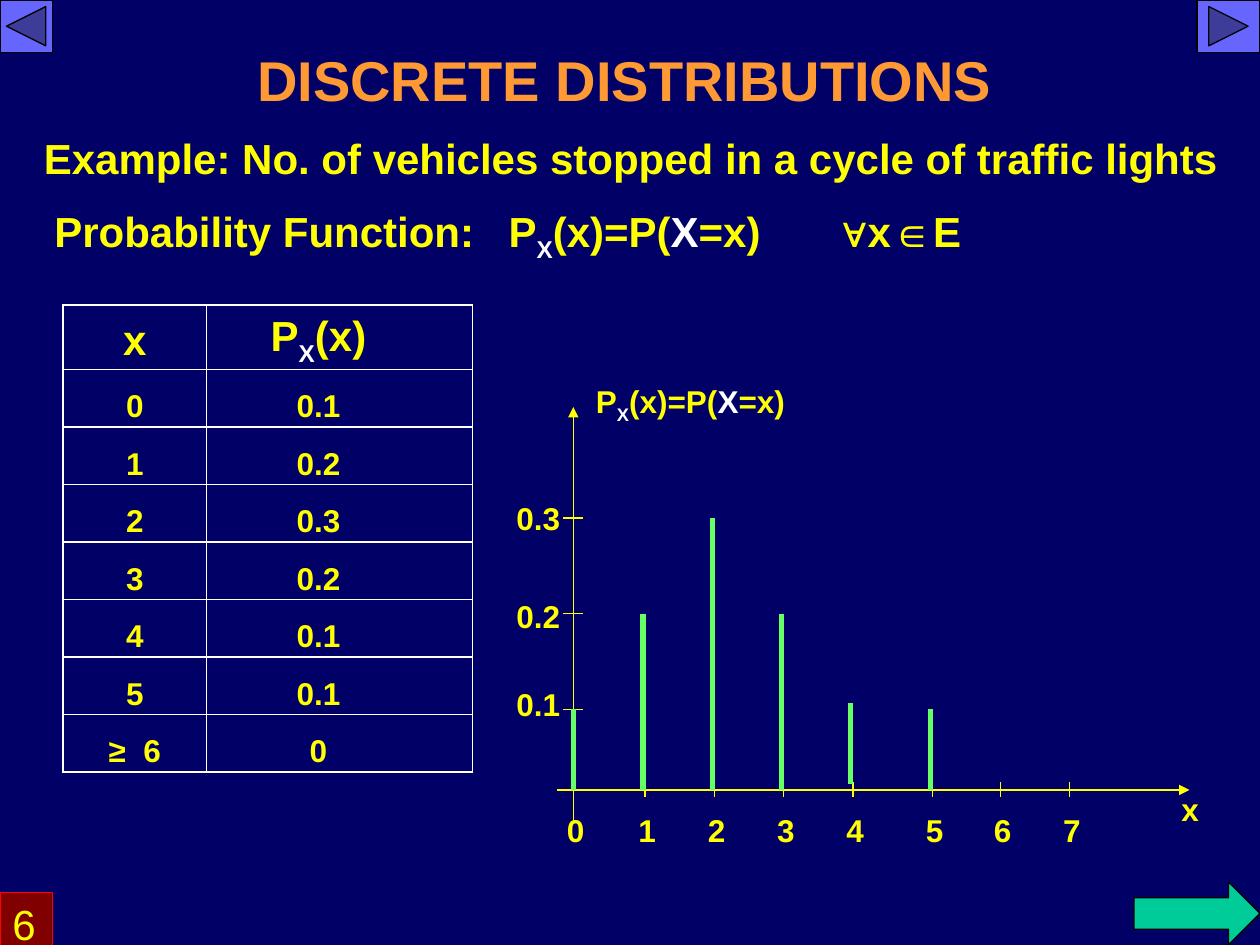
from lxml import etree
from pptx import Presentation
from pptx.dml.color import RGBColor
from pptx.enum.shapes import MSO_CONNECTOR, MSO_SHAPE
from pptx.enum.text import MSO_ANCHOR, PP_ALIGN
from pptx.oxml.ns import qn
from pptx.util import Pt

LEFT, CENTER = PP_ALIGN.LEFT, PP_ALIGN.CENTER
TOP, MIDDLE = MSO_ANCHOR.TOP, MSO_ANCHOR.MIDDLE
STRAIGHT = MSO_CONNECTOR.STRAIGHT
RECTANGLE, RIGHT_ARROW = MSO_SHAPE.RECTANGLE, MSO_SHAPE.RIGHT_ARROW
BACK_BUTTON = MSO_SHAPE.ACTION_BUTTON_BACK_OR_PREVIOUS
NEXT_BUTTON = MSO_SHAPE.ACTION_BUTTON_FORWARD_OR_NEXT

NAVY = RGBColor(0x00, 0x00, 0x66)
ORANGE = RGBColor(0xFF, 0x99, 0x33)
YELLOW = RGBColor(0xFF, 0xFF, 0x00)
WHITE = RGBColor(0xFF, 0xFF, 0xFF)
GREEN = RGBColor(0x66, 0xFF, 0x66)
TEAL = RGBColor(0x00, 0xCC, 0x99)
VIOLET = RGBColor(0x66, 0x66, 0xFF)
MAROON = RGBColor(0x80, 0x00, 0x00)
RED = RGBColor(0xFF, 0x00, 0x00)
BLACK = RGBColor(0x00, 0x00, 0x00)

SUBSCRIPT = -25000
PROBABILITY = [("P", {}), ("X", {"color": WHITE, "baseline": SUBSCRIPT}), ("(x)", {})]
FORMULA = PROBABILITY[:2] + [("(x)=P(", {}), ("X", {"color": WHITE}), ("=x)", {})]


def write_text(frame, text, size=18, color=YELLOW, bold=True, align=LEFT,
               anchor=TOP, before=0, tabs=()):
    """Fill a frame with a string, or with (string, span format) pairs."""
    frame.word_wrap = True
    frame.vertical_anchor = anchor
    para = frame.paragraphs[0]
    para.alignment = align
    para.space_before = Pt(before)
    if tabs:
        stops = etree.SubElement(para._p.get_or_add_pPr(), qn("a:tabLst"))
        for position in tabs:
            etree.SubElement(stops, qn("a:tab"), pos=str(Pt(position)), algn="l")
    for words, look in [(text, {})] if isinstance(text, str) else text:
        span = para.add_run()
        span.text = words
        span.font.name = "Arial"
        span.font.size = Pt(size)
        span.font.bold = bold
        span.font.color.rgb = look.get("color", color)
        if "baseline" in look:
            span.font._element.set("baseline", str(look["baseline"]))


def add_text(page, box, text, **style):
    frame = page.shapes.add_textbox(*map(Pt, box)).text_frame
    write_text(frame, text, **style)


def add_line(page, start, end, color=YELLOW, width=0.75, arrow=False):
    line = page.shapes.add_connector(STRAIGHT, *map(Pt, (*start, *end)))
    line.line.color.rgb = color
    line.line.width = Pt(width)
    if arrow:
        etree.SubElement(line.line._get_or_add_ln(), qn("a:tailEnd"), type="triangle")
    etree.SubElement(line._element.spPr, qn("a:effectLst"))


def add_block(page, kind, box, fill, outline=BLACK):
    block = page.shapes.add_shape(kind, *map(Pt, box))
    block.shadow.inherit = False
    block.fill.solid()
    block.fill.fore_color.rgb = fill
    block.line.color.rgb = outline
    block.line.width = Pt(0.75)
    return block


def add_headings(page, box):
    left, top, width, _ = box
    add_text(page, (left + 72, top, 534, 42), "DISCRETE DISTRIBUTIONS",
             size=32, color=ORANGE, align=CENTER, anchor=MIDDLE)
    add_text(page, (left, top + 48, width, 36),
             "Example: No. of vehicles stopped in a cycle of traffic lights",
             size=24, before=15)
    add_text(page, (left + 6, top + 90, 642, 40),
             [("Probability Function:\t", {}), *FORMULA, ("\t∀x∈E", {})],
             size=24, before=15, tabs=(259.5, 450.5))


def underline_cell(cell):
    border = etree.SubElement(cell._tc.get_or_add_tcPr(), qn("a:lnB"), w=str(Pt(0.75)))
    fill = etree.SubElement(border, qn("a:solidFill"))
    etree.SubElement(fill, qn("a:srgbClr"), val=str(YELLOW))


def add_probability_table(page, box):
    rows = [("x", PROBABILITY), ("0", "0.1"), ("1", "0.2"), ("2", "0.3"), ("3", "0.2"),
            ("4", "0.1"), ("5", "0.1"), ("≥  6", "0")]
    header_height, x_width = 36, 82
    left, top, width, height = box
    table = page.shapes.add_table(len(rows), 2, *map(Pt, box)).table
    table.first_row = table.horz_banding = False
    table.columns[0].width = Pt(x_width)
    table.columns[1].width = Pt(width - x_width)
    for number, values in enumerate(rows):
        header = number == 0
        row_height = header_height if header else (height - header_height) / (len(rows) - 1)
        table.rows[number].height = Pt(row_height)
        for column, value in enumerate(values):
            cell = table.cell(number, column)
            cell.margin_left = cell.margin_bottom = 0
            cell.margin_top = Pt(4 if header else 10)
            cell.margin_right = Pt(24 * column)
            cell.vertical_anchor = MIDDLE
            if header:
                underline_cell(cell)
            cell.fill.background()
            write_text(cell.text_frame, value, size=24 if header else 18,
                       align=CENTER, anchor=MIDDLE)


def add_bar_plot(page, box):
    left, top, width, height = box
    axis, base = left + 39.6, top + 236.8
    first_level, level_step = top + 190.8, 54.7
    ticks = [axis + offset for offset in (0, 41, 80.6, 120.2, 159.8, 205.2, 244.1, 283.7)]
    # tenths of probability, and how far the bar stands above the axis
    bars = [(1, 0), (2, 0), (3, 0), (2, 0), (1, 3.5), (1, 0)]

    def level(tenths):
        return first_level - level_step * (tenths - 1)

    add_line(page, (axis, base + 18), (axis, top + 18), arrow=True)
    for tenths, rise in ((1, 17.3), (2, 13), (3, 14.4)):
        y = level(tenths)
        add_line(page, (axis - 5.8, y), (axis + 5.8, y))
        add_text(page, (left, y - rise, 56, 29), f"0.{tenths}")
    add_text(page, (left + 45.4, top, 170, 31.7), FORMULA)

    add_line(page, (axis - 9.4, base), (left + 391.7, base), arrow=True)
    for number, x in enumerate(ticks):
        if number:
            add_line(page, (x, base - 4.3), (x, base + 4.3))
        add_text(page, (x - 10.8, base + 8.6, 28, 29), str(number))
    add_text(page, (left + 380, base - 3.6, 34, 29), "x")

    for number, (x, (tenths, lift)) in enumerate(zip(ticks, bars)):
        bar_x = x - 1.2 if number else x
        add_line(page, (bar_x, level(tenths) - lift), (bar_x, base - lift),
                 color=GREEN, width=3)


def add_navigation(page, box):
    left, top, width, height = box
    right, bottom = left + width, top + height
    add_block(page, NEXT_BUTTON, (right - 36, top, 36, 30), VIOLET)
    add_block(page, BACK_BUTTON, (left, top, 30, 30), VIOLET)
    number_box = add_block(page, RECTANGLE, (left, bottom - 30, 30, 36), MAROON, outline=RED)
    write_text(number_box.text_frame, "6", size=24, bold=False, before=15)
    add_block(page, RIGHT_ARROW, (right - 72, bottom - 36, 72, 36), TEAL)


def main():
    deck = Presentation()
    deck.slide_width, deck.slide_height = Pt(720), Pt(540)
    page = deck.slides.add_slide(deck.slide_layouts[6])
    page.background.fill.solid()
    page.background.fill.fore_color.rgb = NAVY
    add_headings(page, (18, 24, 702, 130))
    add_navigation(page, (0, 0, 720, 540))
    add_probability_table(page, (36, 174.3, 234, 266))
    add_bar_plot(page, (288, 214.6, 414, 274))
    deck.save("out.pptx")


if __name__ == "__main__":
    main()
